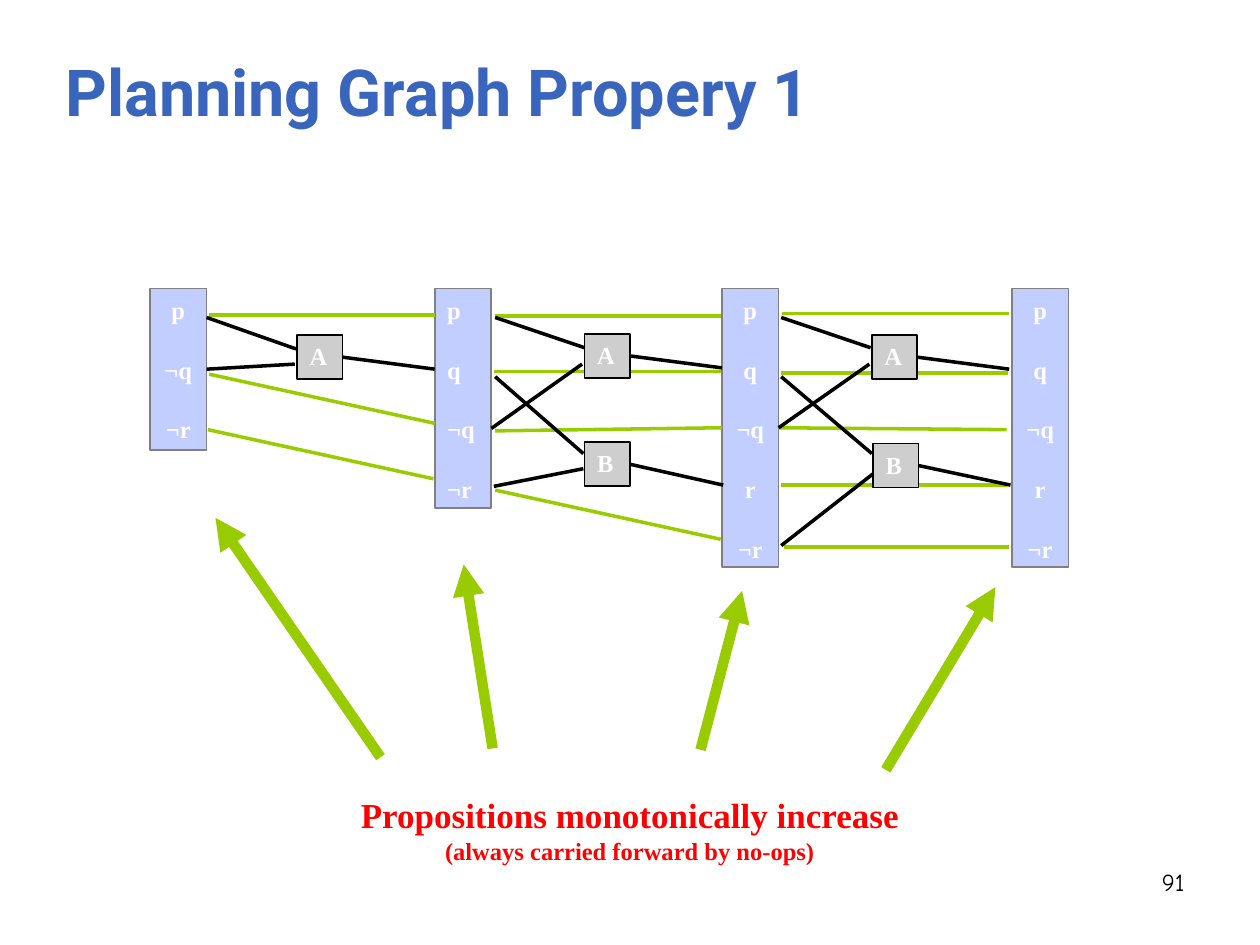
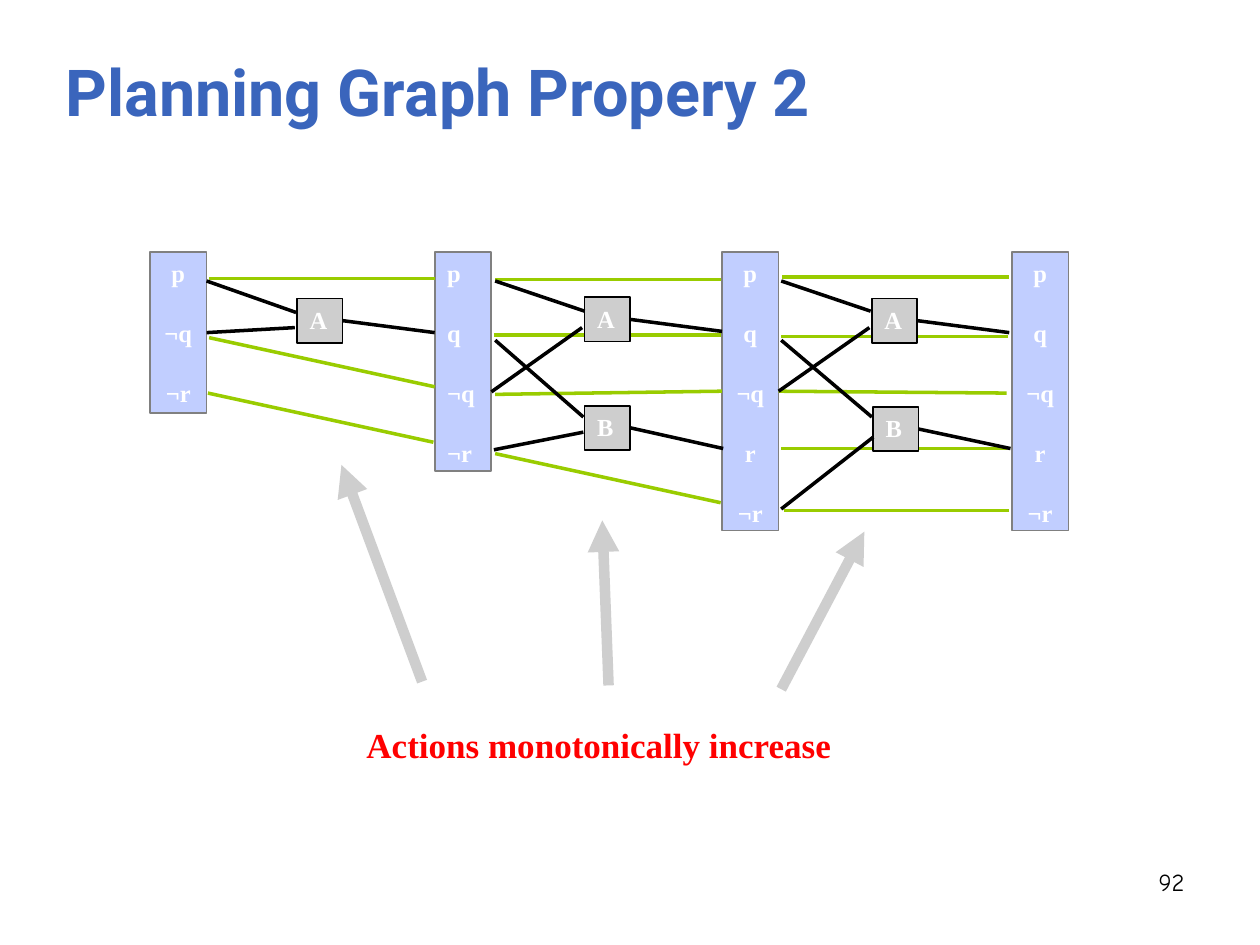
from lxml import etree
from pptx import Presentation
from pptx.dml.color import RGBColor
from pptx.enum.shapes import MSO_CONNECTOR, MSO_SHAPE
from pptx.enum.text import MSO_ANCHOR, PP_ALIGN
from pptx.oxml.ns import qn
from pptx.util import Inches, Pt

RECT = MSO_SHAPE.RECTANGLE
LINE = MSO_CONNECTOR.STRAIGHT
TOP, BOTTOM = MSO_ANCHOR.TOP, MSO_ANCHOR.BOTTOM
LEFT, MID, RIGHT = PP_ALIGN.LEFT, PP_ALIGN.CENTER, PP_ALIGN.RIGHT

BLUE, LILAC, GREEN = "3A65BC", "C1CEFF", "99CC00"
GREY, EDGE, BLACK = "CECECE", "808080", "000000"
WHITE, RED = "FFFFFF", "FF0000"
SERIF, SANS, COMIC = "Times New Roman", "Roboto", "Comic Neue"

GAP = 17.4
WIDE = 0.45
SIDE = 0.36
NEAR = 0.03

STATES = [
    (1.19, 1.28, MID, ["p", "¬q", "¬r"]),
    (3.45, 1.74, LEFT, ["p", "q", "¬q", "¬r"]),
    (5.73, 2.21, MID, ["p", "q", "¬q", "r", "¬r"]),
    (8.03, 2.21, MID, ["p", "q", "¬q", "r", "¬r"]),
]
NOOPS = [
    (1.66, 0.21, 3.45, 0.21), (1.66, 0.68, 3.45, 1.07),
    (1.65, 1.12, 3.44, 1.51),
    (3.93, 1.6, 5.72, 1.99), (3.93, 0.22, 5.72, 0.22),
    (3.92, 0.66, 5.72, 0.66), (3.93, 1.13, 5.72, 1.13),
    (6.21, 0.2, 8.01, 0.2), (6.2, 0.67, 8, 0.67),
    (6.2, 1.12, 7.99, 1.12), (6.2, 1.56, 7.99, 1.56),
    (6.22, 2.05, 8.01, 2.05),
]
ACTS = [
    ("A", 2.36, 0.37), ("A", 4.64, 0.36), ("B", 4.64, 1.22),
    ("A", 6.92, 0.37), ("B", 6.93, 1.23),
]
LINKS = [
    (1.64, 0.23, 2.35, 0.48), (1.65, 0.62, 2.34, 0.6),
    (2.72, 0.56, 3.45, 0.64),
    (3.93, 0.23, 4.64, 0.47), (3.9, 1.11, 4.62, 0.6),
    (5.01, 0.55, 5.73, 0.63),
    (3.93, 0.7, 4.63, 1.31), (3.92, 1.57, 4.63, 1.43),
    (5, 1.4, 5.74, 1.56),
    (6.2, 0.23, 6.91, 0.47), (6.18, 1.12, 6.9, 0.6),
    (7.28, 0.56, 8.01, 0.64),
    (6.2, 0.7, 6.92, 1.31), (6.2, 2.04, 6.93, 1.47),
    (7.3, 1.41, 8.02, 1.56),
]
SLIDES = [
    dict(title="Planning Graph Propery 1", page="91", top=2.29, hue=GREEN,
         at=(2.75, 6.25, 4.5, 0.67), align=MID,
         notes=[("Propositions monotonically increase", 20),
                ("(always carried forward by no-ops)", 14)],
         marks=[(3.02, 6.01, 1.71, 4.11), (3.91, 5.94, 3.68, 4.48),
                (5.56, 5.95, 5.89, 4.69), (7.03, 6.11, 7.9, 4.66)]),
    dict(title="Planning Graph Propery 2", page="92", top=2, hue=GREY,
         at=(2.81, 5.69, 3.91, 0.43), align=LEFT,
         notes=[("Actions monotonically increase", 20)],
         marks=[(3.35, 5.41, 2.71, 3.69), (4.83, 5.44, 4.78, 4.13),
                (6.2, 5.47, 6.86, 4.22)]),
]


def tint(code):
    return RGBColor.from_string(code)


def write(frame, text, size=14, color=WHITE, font=SERIF, bold=True,
          align=LEFT, gap=0):
    para = frame.paragraphs[0] if not frame.text else frame.add_paragraph()
    para.alignment = align
    para.space_before = Pt(gap)
    run = para.add_run()
    run.text = text
    run.font.size = Pt(size)
    run.font.name = font
    run.font.bold = bold
    run.font.color.rgb = tint(color)


class Deck:
    """Hold the shared style and the current slide."""

    def __init__(self):
        self.show = Presentation()
        self.show.slide_width = Inches(10)
        self.show.slide_height = Inches(7.5)

    def start(self, title, page):
        self.slide = self.show.slides.add_slide(self.show.slide_layouts[5])
        self.boxes = []
        head = self.slide.shapes.title
        head.left, head.top = Inches(0.42), Inches(0.33)
        head.width, head.height = Inches(9), Inches(0.75)
        head.text_frame.vertical_anchor = BOTTOM
        write(head.text_frame, title, size=37, color=BLUE, font=SANS)
        frame = self.label(7.17, 6.83, 2.33, 0.52)
        write(frame, page, color=BLACK, font=COMIC, bold=False, align=RIGHT)

    def label(self, *at):
        frame = self.slide.shapes.add_textbox(*map(Inches, at)).text_frame
        frame.word_wrap = True
        return frame

    def note(self, at, lines, align):
        frame = self.label(*at)
        frame.word_wrap = False
        for text, size in lines:
            write(frame, text, size=size, color=RED, align=align)

    def box(self, at, lines, fill, edge, align=LEFT):
        rect = self.slide.shapes.add_shape(RECT, *map(Inches, at))
        rect.shadow.inherit = False
        rect.fill.solid()
        rect.fill.fore_color.rgb = tint(fill)
        rect.line.color.rgb = tint(edge)
        rect.line.width = Pt(1)
        frame = rect.text_frame
        frame.word_wrap = False
        frame.vertical_anchor = TOP
        for row, text in enumerate(lines):
            write(frame, text, align=align, gap=GAP if row else 0)
        self.boxes.append(rect)

    def join(self, bind, x, y):
        for rect in self.boxes:
            mid = rect.top + rect.height / 2
            for side, edge in ((1, rect.left), (3, rect.left + rect.width)):
                if max(abs(edge - Inches(x)), abs(mid - Inches(y))) <= Inches(NEAR):
                    bind(rect, side)

    def link(self, ends, color, width=2, head=False):
        wire = self.slide.shapes.add_connector(LINE, *map(Inches, ends))
        wire.line.color.rgb = tint(color)
        wire.line.width = Pt(width)
        if head:
            pen = wire.line._get_or_add_ln()
            etree.SubElement(pen, qn("a:tailEnd"), type="triangle")
        etree.SubElement(wire._element.spPr, qn("a:effectLst"))
        self.join(wire.begin_connect, *ends[:2])
        self.join(wire.end_connect, *ends[2:])

    def wires(self, rows, top, color):
        for x, y, to, down in rows:
            self.link((x, top + y, to, top + down), color)

    def graph(self, top):
        for x, high, align, facts in STATES:
            self.box((x, top, WIDE, high), facts, LILAC, EDGE, align)
        self.wires(NOOPS, top, GREEN)
        for name, x, y in ACTS:
            self.box((x, top + y, SIDE, 0.35), [name], GREY, BLACK)
        self.wires(LINKS, top, BLACK)


def main():
    deck = Deck()
    for page in SLIDES:
        deck.start(page["title"], page["page"])
        deck.note(page["at"], page["notes"], page["align"])
        deck.graph(page["top"])
        for ends in page["marks"]:
            deck.link(ends, page["hue"], width=6, head=True)
    deck.show.save("out.pptx")


if __name__ == "__main__":
    main()
